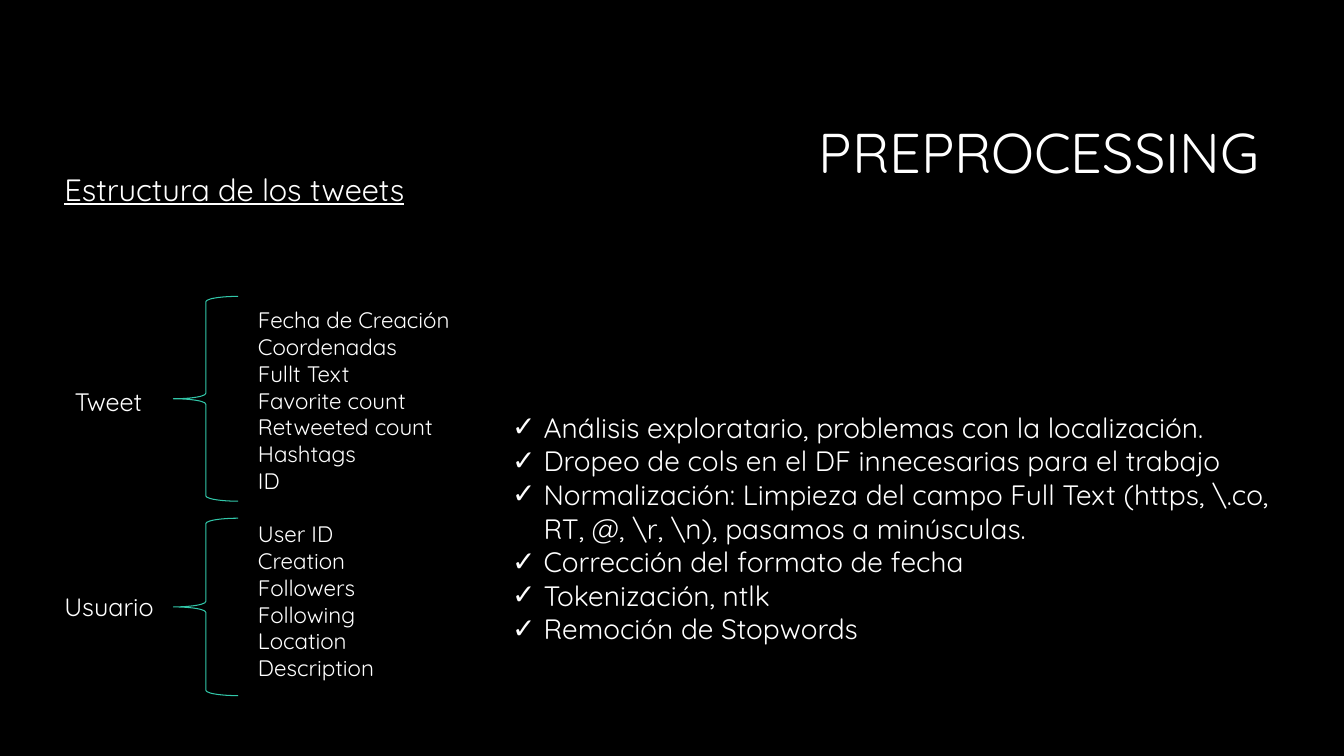
from pptx import Presentation
from pptx.dml.color import RGBColor
from pptx.enum.shapes import MSO_SHAPE
from pptx.enum.text import MSO_ANCHOR, MSO_AUTO_SIZE, PP_ALIGN
from pptx.oxml.xmlchemy import OxmlElement
from pptx.util import Cm, Pt

THEME = {
    "font": "Quicksand",
    "back": RGBColor(0, 0, 0),
    "text": RGBColor(255, 255, 255),
    "brace": RGBColor(0x32, 0xC7, 0xA9),
    "title": Pt(40),
    "head": Pt(22),
    "list": Pt(20),
    "label": Pt(18),
    "field": Pt(16),
}


def place(shape, box):
    for name, size in zip(("left", "top", "width", "height"), box):
        setattr(shape, name, Cm(size))


def write(shape, lines, size, form, bullet=None, underline=None):
    frame = shape.text_frame
    frame.text = "\n".join(lines)
    frame.word_wrap = True
    frame.auto_size = MSO_AUTO_SIZE.NONE
    look = {"name": THEME["font"], "size": THEME[size], "underline": underline}
    for para in frame.paragraphs:
        for name, value in form.items():
            setattr(para, name, value)
        font = para.runs[0].font
        for name, value in look.items():
            setattr(font, name, value)
        font.color.rgb = THEME["text"]
        props = para._p.get_or_add_pPr()
        indent = Cm(0.79) if bullet else 0
        props.set("marL", str(indent))
        props.set("indent", str(-indent))
        mark = OxmlElement("a:buChar" if bullet else "a:buNone")
        if bullet:
            mark.set("char", bullet)
        props.append(mark)


deck = Presentation()
deck.slide_width, deck.slide_height = Cm(33.86), Cm(19.05)
slide = deck.slides.add_slide(deck.slide_layouts[3])
fill = slide.background.fill
fill.solid()
fill.fore_color.rgb = THEME["back"]

plain = {"alignment": PP_ALIGN.LEFT, "line_spacing": 1.0, "space_before": Pt(0)}
title, head, steps = slide.placeholders

place(title, (8.05, 2.13, 23.93, 3.58))
title.text_frame.vertical_anchor = MSO_ANCHOR.MIDDLE
write(title, ["PREPROCESSING"], "title",
      {**plain, "alignment": PP_ALIGN.RIGHT, "line_spacing": 0.9})

place(head, (1.37, 4.27, 9.75, 2.01))
write(head, ["Estructura de los tweets"], "head",
      {**plain, "line_spacing": 0.9, "space_before": Pt(10)}, underline=True)

place(steps, (12.65, 10.21, 19.84, 7.77))
write(steps, [
    "Análisis exploratario, problemas con la localización.",
    "Dropeo de cols en el DF innecesarias para el trabajo",
    "Normalización: Limpieza del campo Full Text (https, \\.co, RT, @, \\r, \\n), pasamos a minúsculas.",
    "Corrección del formato de fecha",
    "Tokenización, ntlk",
    "Remoción de Stopwords",
], "list", plain, bullet="✓")

groups = [
    ("Tweet", (1.63, 9.6, 3.18, 1.02), (4.37, 7.47, 1.63, 5.16), (6.25, 7.59, 9.5, 5.05),
     ["Fecha de Creación", "Coordenadas", "Fullt Text", "Favorite count",
      "Retweeted count", "Hashtags", "ID"]),
    ("Usuario", (1.37, 14.78, 3.51, 1.02), (4.37, 13.06, 1.63, 4.47), (6.25, 12.98, 5.33, 4.37),
     ["User ID", "Creation", "Followers", "Following", "Location", "Description"]),
]
for name, spot, span, area, fields in groups:
    brace = slide.shapes.add_shape(MSO_SHAPE.LEFT_BRACE, *map(Cm, span))
    brace.shadow.inherit = False
    brace.fill.background()
    brace.line.color.rgb = THEME["brace"]
    brace.line.width = Pt(0.75)
    for box, lines, size in ((spot, [name], "label"), (area, fields, "field")):
        write(slide.shapes.add_textbox(*map(Cm, box)), lines, size, plain)

deck.save("out.pptx")
